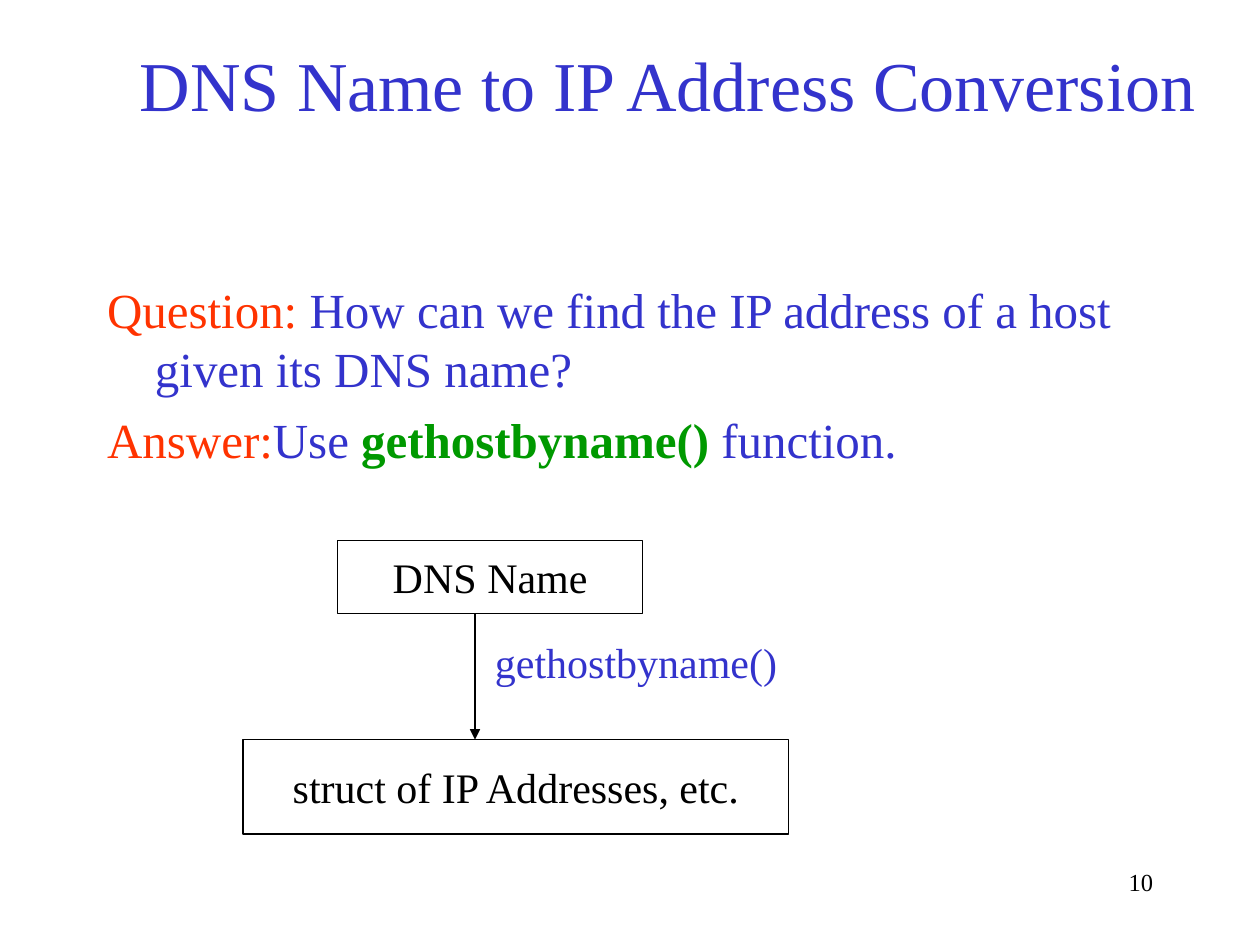
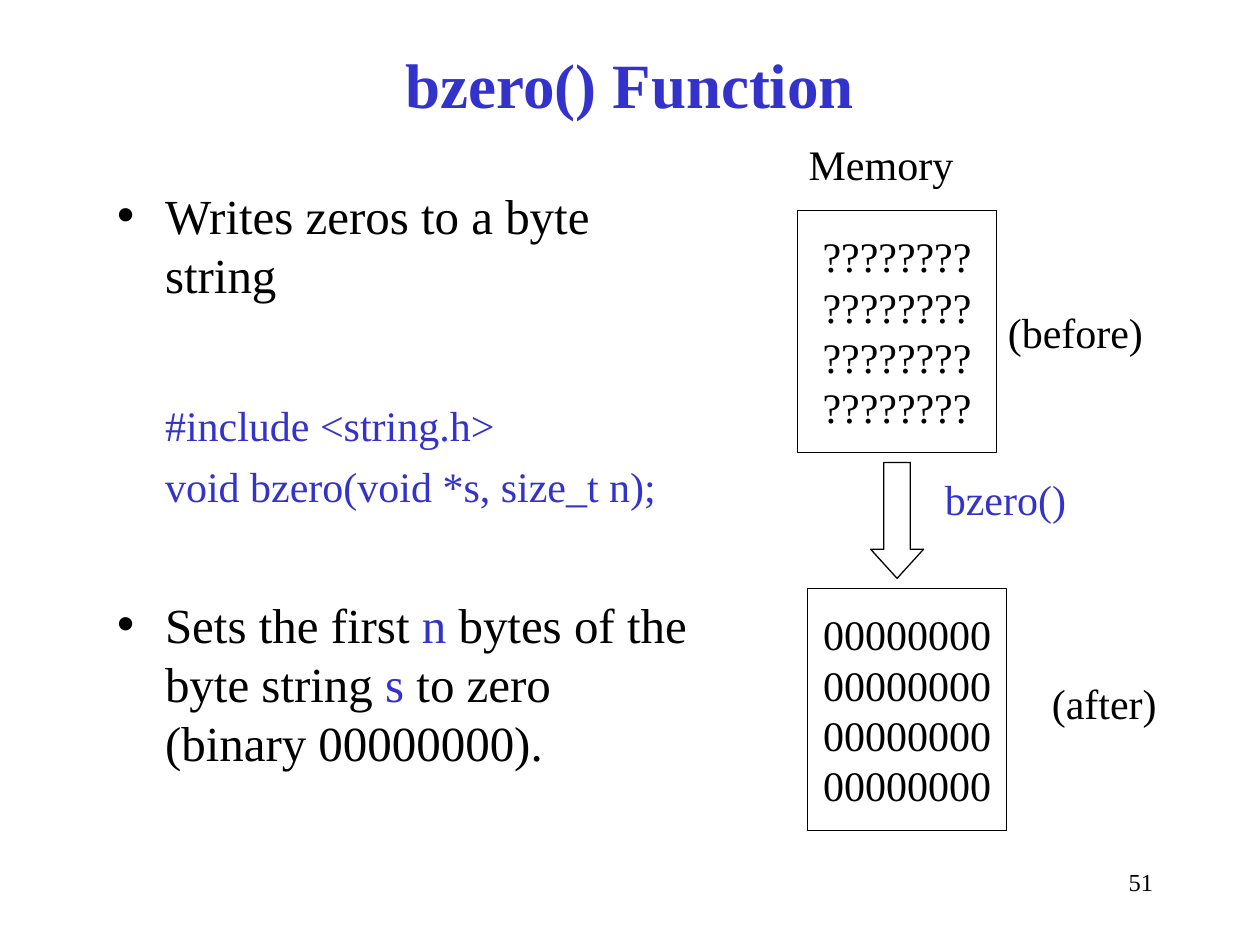
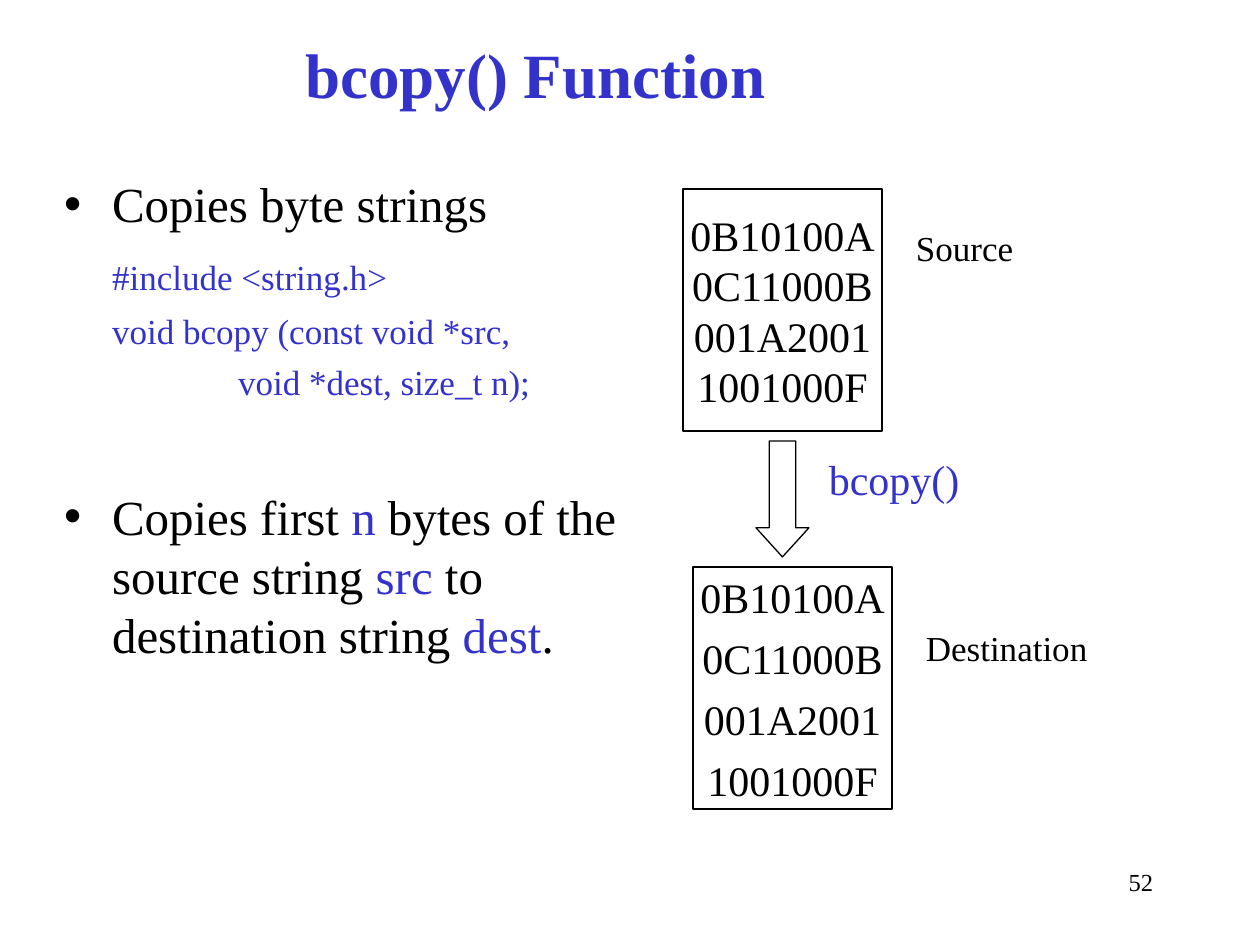
from lxml.etree import SubElement
from pptx import Presentation
from pptx.dml.color import RGBColor
from pptx.enum.shapes import MSO_CONNECTOR, MSO_SHAPE
from pptx.enum.text import MSO_ANCHOR, MSO_AUTO_SIZE, PP_ALIGN
from pptx.oxml.ns import qn
from pptx.util import Inches, Pt

FONT = "Times New Roman"
BLACK, WHITE, BLUE, RED, GREEN = "000000", "FFFFFF", "3333CC", "FF3300", "009900"
BOX_SIZE = (1.58, 1.92)

HANGING, BULLET, CODE, CODE_INDENTED = "hanging", "bullet", "code", "code indented"
MARGINS = {HANGING: (0.38, -0.38), BULLET: (0.38, -0.38),
           CODE: (0.38, 0), CODE_INDENTED: (1.38, 0)}

DNS = {
    "number": "10",
    "title": ("DNS Name to IP Address Conversion", (1.01, 0.28, 8.63, 0.77), 40),
    "body_at": (0.75, 2.17, 8.5, 4.5),
    "body": [
        (HANGING, 28, 7, BLUE, [
            ("Question:", RED, False),
            (" How can we find the IP address of a host given its DNS name?", BLUE, False)]),
        (HANGING, 28, 7, BLUE, [
            ("Answer:", RED, False), ("Use ", BLUE, False),
            ("gethostbyname()", GREEN, True), (" function.", BLUE, False)]),
    ],
    "boxes": [(["DNS Name"], (2.68, 4.29, 2.42, 0.58), 0),
              (["struct of IP Addresses, etc."], (1.93, 5.87, 4.33, 0.75), 0)],
    "labels": [("gethostbyname()", (3.83, 5, 2.46, 0.5), 24, BLUE)],
    "call_line": (3.77, 4.87, 3.77, 5.87),
}

BZERO = {
    "number": "51",
    "title": ("bzero() Function", (0.75, 0.33, 8.5, 0.67), 36),
    "body_at": (0.83, 1.42, 4.75, 5.5),
    "body": [
        (BULLET, 28, 7, BLACK, [("Writes zeros to a byte string", BLACK, False)]),
        (CODE, 24, 55, BLUE, [("#include <string.h>", BLUE, False)]),
        (CODE, 24, 6, BLUE, [("void bzero(void *s, size_t n);", BLUE, False)]),
        (BULLET, 28, 48, BLACK, [
            ("Sets the first ", BLACK, False), ("n", BLUE, False),
            (" bytes of the byte string ", BLACK, False), ("s", BLUE, False),
            (" to zero (binary 00000000).", BLACK, False)]),
    ],
    "memory": ((6.33, 1.67), ["????????"] * 4, ["00000000"] * 4, 0),
    "labels": [("(before)", (7.9, 2.38, 1.29, 0.5), 24, BLACK),
               ("(after)", (8.25, 5.33, 1.05, 0.5), 24, BLACK),
               ("bzero()", (7.4, 3.71, 1.18, 0.5), 24, BLUE),
               ("Memory", (6.32, 1.05, 1.37, 0.5), 24, BLACK)],
}

COPIED_BYTES = ["0B10100A", "0C11000B", "001A2001", "1001000F"]
BCOPY = {
    "number": "52",
    "title": ("bcopy() Function", (0, 0.25, 8.5, 0.67), 36),
    "body_at": (0.41, 1.33, 4.83, 5.5),
    "body": [
        (BULLET, 28, 7, BLACK, [("Copies byte strings", BLACK, False)]),
        (CODE, 20, 13, BLUE, [("#include <string.h>", BLUE, False)]),
        (CODE, 20, 7, BLUE, [("void bcopy (const void *src,", BLUE, False)]),
        (CODE_INDENTED, 20, 5, BLUE, [("void *dest, size_t n);", BLUE, False)]),
        (BULLET, 28, 48, BLACK, [
            ("Copies first ", BLACK, False), ("n", BLUE, False),
            (" bytes of the source string ", BLACK, False), ("src", BLUE, False),
            (" to destination string ", BLACK, False), ("dest", BLUE, False),
            (".", BLACK, False)]),
    ],
    "memory": ((5.42, 1.5), COPIED_BYTES, COPIED_BYTES, 6),
    "labels": [("bcopy()", (6.48, 3.55, 1.27, 0.5), 24, BLUE),
               ("Source", (7.17, 1.75, 0.99, 0.44), 20, BLACK),
               ("Destination", (7.25, 4.92, 1.5, 0.44), 20, BLACK)],
}


def rgb(color):
    return RGBColor.from_string(color)


def place(at):
    return [Inches(length) for length in at]


def style(font, size, color, bold=False):
    font.name, font.size, font.bold = FONT, Pt(size), bold
    font.color.rgb = rgb(color)


def move(placeholder, at):
    placeholder.left, placeholder.top, placeholder.width, placeholder.height = place(at)
    placeholder.text_frame.auto_size = MSO_AUTO_SIZE.NONE


def write_lines(frame, lines, size, color, align, before=0):
    frame.text = "\n".join(lines)
    for paragraph in frame.paragraphs:
        paragraph.alignment = align
        paragraph.space_before = Pt(before)
        style(paragraph.font, size, color)


def add_title(slide, text, at, size):
    heading = slide.shapes.title
    move(heading, at)
    frame = heading.text_frame
    centred = size == 36
    write_lines(frame, [text], size, BLUE, PP_ALIGN.CENTER if centred else PP_ALIGN.LEFT)
    frame.paragraphs[0].font.bold = centred
    frame.word_wrap = centred
    frame.vertical_anchor = MSO_ANCHOR.MIDDLE if centred else MSO_ANCHOR.TOP


def add_body(slide, entries, at):
    body = slide.placeholders[1]
    move(body, at)
    frame = body.text_frame
    for index, (kind, size, before, color, runs) in enumerate(entries):
        paragraph = frame.paragraphs[0] if index == 0 else frame.add_paragraph()
        paragraph.space_before = Pt(before)
        properties = paragraph._p.get_or_add_pPr()
        for name, length in zip(("marL", "indent"), MARGINS[kind]):
            properties.set(name, str(Inches(length)))
        if kind != BULLET:
            SubElement(properties, qn("a:buNone"))
        style(paragraph.font, size, color)
        for text, run_color, bold in runs:
            run = paragraph.add_run()
            run.text = text
            if run_color != color:
                run.font.color.rgb = rgb(run_color)
            if bold:
                run.font.bold = True


def add_outlined(slide, preset, at):
    outlined = slide.shapes.add_shape(preset, *place(at))
    outlined.shadow.inherit = False
    outlined.fill.solid()
    outlined.fill.fore_color.rgb = rgb(WHITE)
    outlined.line.color.rgb = rgb(BLACK)
    outlined.line.width = Pt(0.75)
    return outlined


def add_box(slide, lines, at, before):
    frame = add_outlined(slide, MSO_SHAPE.RECTANGLE, at).text_frame
    frame.word_wrap = False
    frame.vertical_anchor = MSO_ANCHOR.MIDDLE
    write_lines(frame, lines, 24, BLACK, PP_ALIGN.CENTER, before)


def add_memory(slide, origin, before_bytes, after_bytes, after_spacing):
    left, top = origin
    add_box(slide, before_bytes, (left, top, *BOX_SIZE), 0)
    arrow = add_outlined(slide, MSO_SHAPE.DOWN_ARROW, (left + 0.58, top + 2, 0.42, 0.92))
    arrow.adjustments[0], arrow.adjustments[1] = 0.5, 0.55
    add_box(slide, after_bytes, (left + 0.08, top + 3, *BOX_SIZE), after_spacing)


def add_label(slide, text, at, size, color, align=PP_ALIGN.LEFT):
    frame = slide.shapes.add_textbox(*place(at)).text_frame
    frame.word_wrap = False
    frame.auto_size = MSO_AUTO_SIZE.SHAPE_TO_FIT_TEXT
    write_lines(frame, [text], size, color, align)
    return frame


def add_call_line(slide, ends):
    call = slide.shapes.add_connector(MSO_CONNECTOR.STRAIGHT, *place(ends))
    call.line.color.rgb = rgb(BLACK)
    call.line.width = Pt(0.75)
    SubElement(call.line._get_or_add_ln(), qn("a:tailEnd"), type="triangle")
    SubElement(call._element.spPr, qn("a:effectLst"))


def add_number(slide, number):
    frame = add_label(slide, number, (7.17, 6.83, 2.08, 0.5), 14, BLACK, PP_ALIGN.RIGHT)
    frame.word_wrap = True
    frame.auto_size = MSO_AUTO_SIZE.NONE


def build_slide(deck, content):
    slide = deck.slides.add_slide(deck.slide_layouts[1])
    add_number(slide, content["number"])
    add_title(slide, *content["title"])
    add_body(slide, content["body"], content["body_at"])
    for box in content.get("boxes", []):
        add_box(slide, *box)
    if "memory" in content:
        add_memory(slide, *content["memory"])
    if "call_line" in content:
        add_call_line(slide, content["call_line"])
    for label in content["labels"]:
        add_label(slide, *label)


def main():
    """Build the three slides on address lookup and byte functions."""
    deck = Presentation()
    deck.slide_width, deck.slide_height = Inches(10), Inches(7.5)
    for content in (DNS, BZERO, BCOPY):
        build_slide(deck, content)
    deck.save("out.pptx")


if __name__ == "__main__":
    main()
